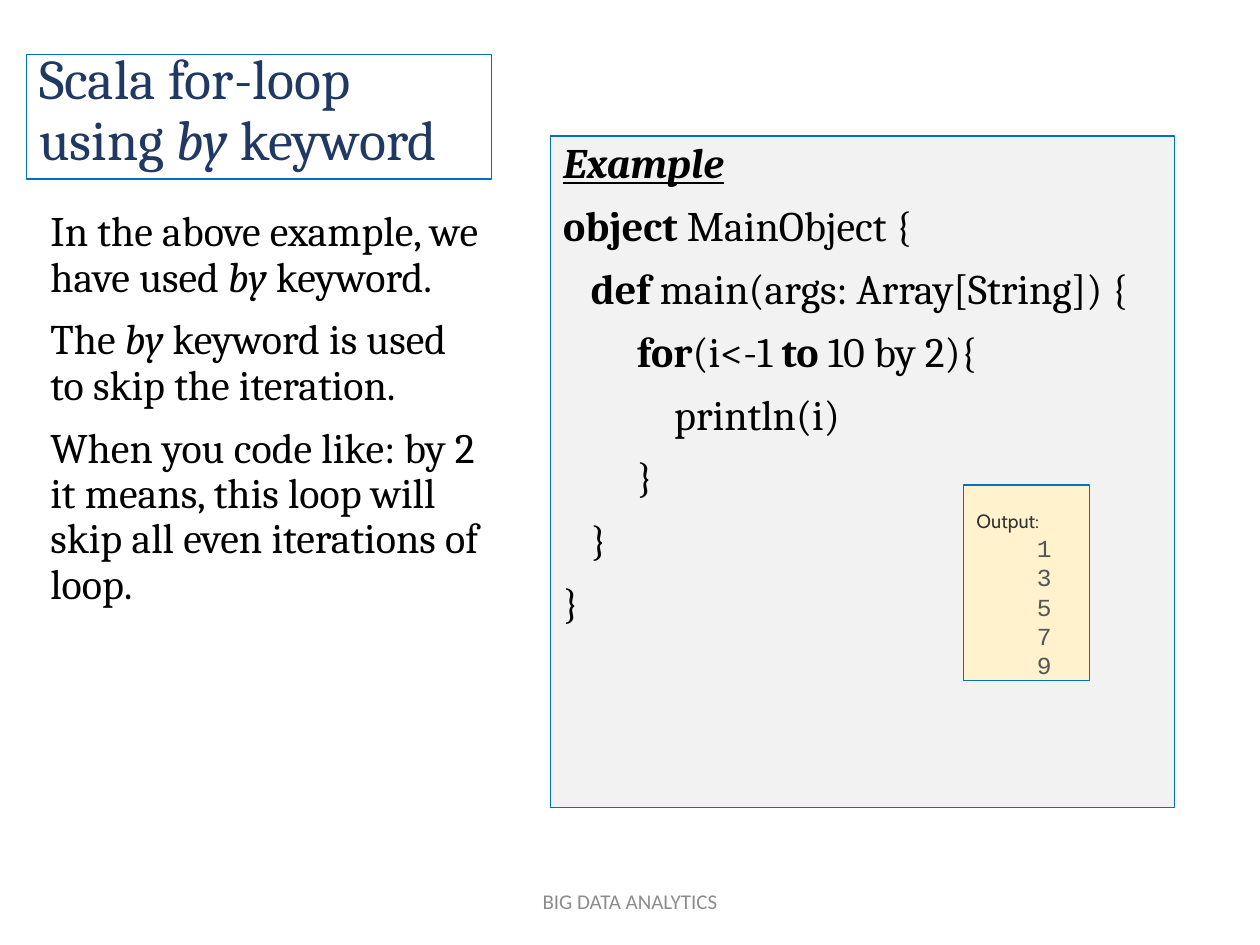
from lxml import etree
from pptx import Presentation
from pptx.dml.color import RGBColor
from pptx.enum.shapes import MSO_SHAPE
from pptx.enum.text import MSO_ANCHOR, MSO_AUTO_SIZE, PP_ALIGN
from pptx.oxml.ns import qn
from pptx.util import Inches, Pt

RECTANGLE = MSO_SHAPE.RECTANGLE
TOP, MIDDLE, BOTTOM = MSO_ANCHOR.TOP, MSO_ANCHOR.MIDDLE, MSO_ANCHOR.BOTTOM
LEFT, CENTER, JUSTIFY = PP_ALIGN.LEFT, PP_ALIGN.CENTER, PP_ALIGN.JUSTIFY
NO_AUTOFIT = MSO_AUTO_SIZE.NONE

COLORS = {
    "border": "0070C0",
    "title": "203864",
    "text": "000000",
    "code_fill": "F2F2F2",
    "output_fill": "FFF2CC",
    "output_label": "333333",
    "output_value": "535559",
    "footer": "8C8C8C",
}

TITLE = [("Scala for-loop using ", ""), ("by", "i"), (" keyword", "")]

EXPLANATION = [
    [("In the above example, we have used ", ""), ("by", "i"), (" keyword.", "")],
    [("The ", ""), ("by", "i"), (" keyword is used to skip the iteration.", "")],
    [("When you code like: by 2 it means, this loop will skip all even iterations of loop.", "")],
]

CODE = [
    [("Example", "biu")],
    [("object ", "b"), ("MainObject {", "")],
    [("   ", ""), ("def", "b"), (" main(args: Array[String]) {", "")],
    [("        ", ""), ("for", "b"), ("(i<-1 ", ""), ("to", "b"), (" 10 by 2){", "")],
    [("            println(i)", "")],
    [("        }", "")],
    [("   }", "")],
    [("}", "")],
]


class SlideBuilder:
    font = "Cambria"

    def __init__(self, slide):
        self.slide = slide

    def place(self, shape, left, top, width, height):
        shape.left, shape.top = Inches(left), Inches(top)
        shape.width, shape.height = Inches(width), Inches(height)

    def frame(self, shape, fill=None):
        if fill:
            shape.fill.solid()
            shape.fill.fore_color.rgb = RGBColor.from_string(COLORS[fill])
        shape.line.color.rgb = RGBColor.from_string(COLORS["border"])
        shape.line.width = Pt(0.75)

    def setup(self, text_frame, anchor):
        text_frame.word_wrap = True
        text_frame.auto_size = NO_AUTOFIT
        text_frame.vertical_anchor = anchor

    def add_text(self, paragraph, runs, size, color, font=None, align=LEFT, indent=0):
        properties = paragraph._p.get_or_add_pPr()
        properties.set("marL", str(Inches(indent)))
        properties.set("indent", "0")
        etree.SubElement(properties, qn("a:buNone"))
        paragraph.alignment = align
        for text, style in runs:
            run = paragraph.add_run()
            run.text = text
            run.font.name = font or self.font
            run.font.size = Pt(size)
            run.font.color.rgb = RGBColor.from_string(COLORS[color])
            run.font.bold = "b" in style
            run.font.italic = "i" in style
            run.font.underline = "u" in style

    def title(self, runs, box):
        title = self.slide.shapes.title
        self.place(title, *box)
        self.frame(title)
        self.setup(title.text_frame, BOTTOM)
        paragraph = title.text_frame.paragraphs[0]
        self.add_text(paragraph, runs, 32, "title")
        paragraph.line_spacing = 0.9

    def body(self, index, paragraphs, box):
        body = self.slide.placeholders[index]
        self.place(body, *box)
        self.setup(body.text_frame, TOP)
        for number, runs in enumerate(paragraphs):
            paragraph = body.text_frame.add_paragraph() if number else body.text_frame.paragraphs[0]
            self.add_text(paragraph, runs, 24, "text")
            paragraph.line_spacing = 0.9
            paragraph.space_before = Pt(10 if number else 0)
        return body

    def output(self, label, values, box):
        panel = self.slide.shapes.add_shape(RECTANGLE, *map(Inches, box))
        panel.shadow.inherit = False
        self.frame(panel, "output_fill")
        text_frame = panel.text_frame
        self.setup(text_frame, MIDDLE)
        text_frame.margin_left = text_frame.margin_right = text_frame.margin_bottom = 0
        text_frame.margin_top = Inches(0.19)
        self.add_text(text_frame.paragraphs[0], [(label, "")], 11, "output_label", "Cabin", JUSTIFY, 0.1)
        for value in values:
            self.add_text(text_frame.add_paragraph(), [(str(value), "")], 14, "output_value",
                          "Courier New", JUSTIFY, 0.58)

    def footer(self, text, box):
        footer = self.slide.shapes.add_textbox(*map(Inches, box))
        self.setup(footer.text_frame, MIDDLE)
        self.add_text(footer.text_frame.paragraphs[0], [(text, "")], 12, "footer", "Calibri", CENTER)


def main():
    presentation = Presentation()
    presentation.slide_width, presentation.slide_height = Inches(10), Inches(7.5)
    two_content = presentation.slide_layouts[3]
    builder = SlideBuilder(presentation.slides.add_slide(two_content))
    builder.title(TITLE, (0.21, 0.43, 3.69, 0.99))
    code = builder.body(1, CODE, (4.37, 1.08, 4.95, 5.33))
    builder.frame(code, "code_fill")
    builder.body(2, EXPLANATION, (0.3, 1.62, 3.62, 4.8))
    builder.footer("BIG DATA ANALYTICS", (3.31, 6.95, 3.38, 0.4))
    builder.output("Output:", range(1, 10, 2), (7.65, 3.85, 1, 1.55))
    presentation.save("out.pptx")


if __name__ == "__main__":
    main()
